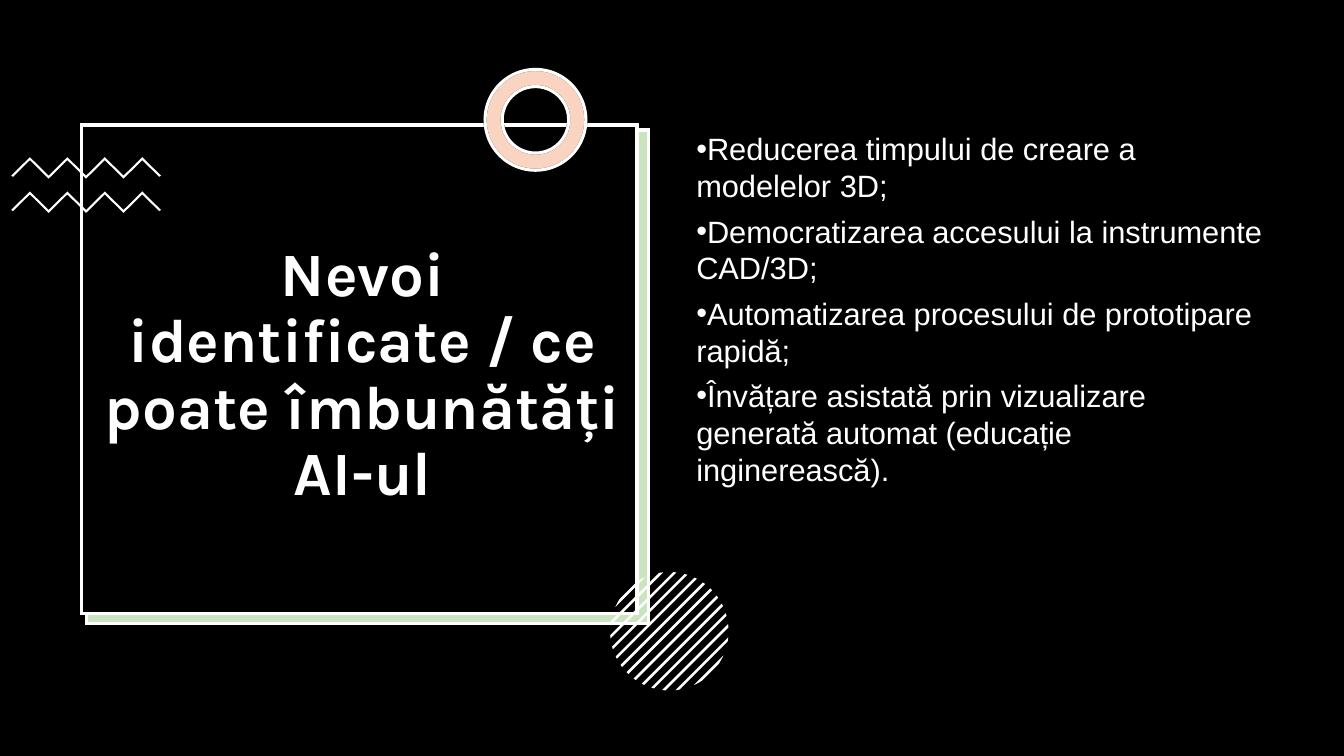
from math import acos, cos, pi, sin

from lxml.etree import SubElement
from pptx import Presentation
from pptx.dml.color import RGBColor
from pptx.enum.shapes import MSO_SHAPE as Kind
from pptx.enum.text import MSO_ANCHOR as Anchor, PP_ALIGN as Align
from pptx.oxml.ns import qn
from pptx.util import Pt

HUES = {"black": "000000", "white": "FFFFFF", "green": "4EA72E", "peach": "E97132"}
TITLE = "Nevoi identificate / ce poate îmbunătăți AI-ul"
NEEDS = [
    "Reducerea timpului de creare a modelelor 3D;",
    "Democratizarea accesului la instrumente CAD/3D;",
    "Automatizarea procesului de prototipare rapidă;",
    "Învățare asistată prin vizualizare generată automat (educație inginerească).",
]


def hue(name):
    """Return the named colour."""
    return RGBColor.from_string(HUES[name])


def paint(shape, fill, line=None, alpha=None):
    """Set the fill, outline and opacity of a shape."""
    shape.shadow.inherit = False
    shape.fill.solid()
    shape.fill.fore_color.rgb = hue(fill)
    if alpha:
        tone = shape.fill._xPr.find(qn("a:solidFill"))[0]
        SubElement(tone, qn("a:alpha"), val=str(alpha * 1000))
    if line:
        shape.line.color.rgb = hue(line)
        shape.line.width = Pt(2.25)
        SubElement(shape.line._get_or_add_ln(), qn("a:miter"), lim="800000")
    else:
        shape.line.fill.background()


def block(slide, kind, box, *style):
    """Add a painted preset shape in a box."""
    shape = slide.shapes.add_shape(kind, *map(Pt, box))
    paint(shape, *style)
    return shape


def outline(group, dots):
    """Add a closed white outline through the dots."""
    spots = [(Pt(x), Pt(y)) for x, y in dots]
    pen = group.shapes.build_freeform(*spots[0], scale=1.0)
    pen.add_line_segments(spots[1:], close=True)
    paint(pen.convert_to_shape(), "white")


def write(para, text, size, font, bold=False):
    """Add one white run to a paragraph."""
    run = para.add_run()
    run.text = text
    run.font.size = Pt(size)
    run.font.name = font
    run.font.bold = bold
    run.font.color.rgb = hue("white")


def frame(slide, box):
    """Draw the title frame with its offset green panel."""
    x, y, w, h = box
    block(slide, Kind.RECTANGLE, (x + 3, y + 4.3, w + 4.3, h + 3.6), "white")
    block(slide, Kind.RECTANGLE, (x + 3.7, y + 3.6, w + 4.3, h + 3.6), "green", "white", 30)
    block(slide, Kind.RECTANGLE, box, "black", "white")


def waves(slide, box):
    """Draw two zigzag bands across the box."""
    left, top, wide, high = box
    group = slide.shapes.add_group_shape()
    step, thick, trim, rise = wide / 8, 2.1, 1.3, 13.2
    for y in (top, top + high - rise - thick):
        upper = [(left + step * i, y + rise * (i % 2 == 0)) for i in range(9)]
        lower = [(a, b + thick) for a, b in upper[7:0:-1]]
        ends = [(upper[8][0] - trim, y + rise + thick - trim),
                (left + trim, y + rise + thick - trim)]
        outline(group, upper + ends[:1] + lower + ends[1:])


def ring(slide, box):
    """Draw the peach ring over a white base."""
    for style in (("white", "black"), ("peach", "white", 30)):
        shape = block(slide, Kind.DONUT, box, *style)
        shape.adjustments[0] = 0.17


def disc(slide, box):
    """Fill a circle with thirteen diagonal stripes."""
    x, y, size, _ = box
    rad, gap, half = size / 2, 6.75, 0.92
    group = slide.shapes.add_group_shape()
    for k in range(-6, 7):
        near, far = [acos((k * gap + side) / rad) for side in (-half, half)]
        arc = [near + (far - near) * i / 4 for i in range(5)]
        turns = arc + [-a for a in reversed(arc)]
        outline(group, [(x + rad + rad * cos(pi / 4 + a),
                         y + rad + rad * sin(pi / 4 + a)) for a in turns])


def head(slide, box):
    """Place and format the title."""
    title = slide.shapes.title
    title.left, title.top, title.width, title.height = map(Pt, box)
    text = title.text_frame
    text.word_wrap = True
    text.vertical_anchor = Anchor.MIDDLE
    text.margin_left = text.margin_right = Pt(8.7)
    para = text.paragraphs[0]
    para.alignment = Align.CENTER
    para.line_spacing = 0.9
    write(para, TITLE, 44, "Karla", True)
    tree = slide.shapes._spTree
    tree.remove(title._element)
    tree.append(title._element)


def needs(slide, box):
    """Write the bulleted list of needs."""
    text = slide.shapes.add_textbox(*map(Pt, box)).text_frame
    text.word_wrap = True
    for i, need in enumerate(NEEDS):
        para = text.add_paragraph() if i else text.paragraphs[0]
        para.alignment = Align.LEFT
        para.space_after = Pt(6)
        props = para._p.get_or_add_pPr()
        props.set("marL", "0")
        props.set("indent", "0")
        SubElement(props, qn("a:buFont"), typeface="Arial")
        SubElement(props, qn("a:buChar"), char="•")
        write(para, need, 22, "Arial")


def main():
    """Build and save the slide."""
    deck = Presentation()
    deck.slide_width, deck.slide_height = Pt(960), Pt(540)
    slide = deck.slides.add_slide(deck.slide_layouts[5])
    block(slide, Kind.RECTANGLE, (0, 0, 960, 540), "black")
    frame(slide, (58.3, 89.3, 396.7, 349.2))
    waves(slide, (8, 112.3, 107, 39.8))
    ring(slide, (346.5, 49.6, 72, 72))
    disc(slide, (435.8, 408.6, 84.6, 84.6))
    head(slide, (66.2, 109.4, 386, 318.2))
    needs(slide, (490.3, 89.3, 424.8, 285.8))
    deck.save("out.pptx")


if __name__ == "__main__":
    main()
